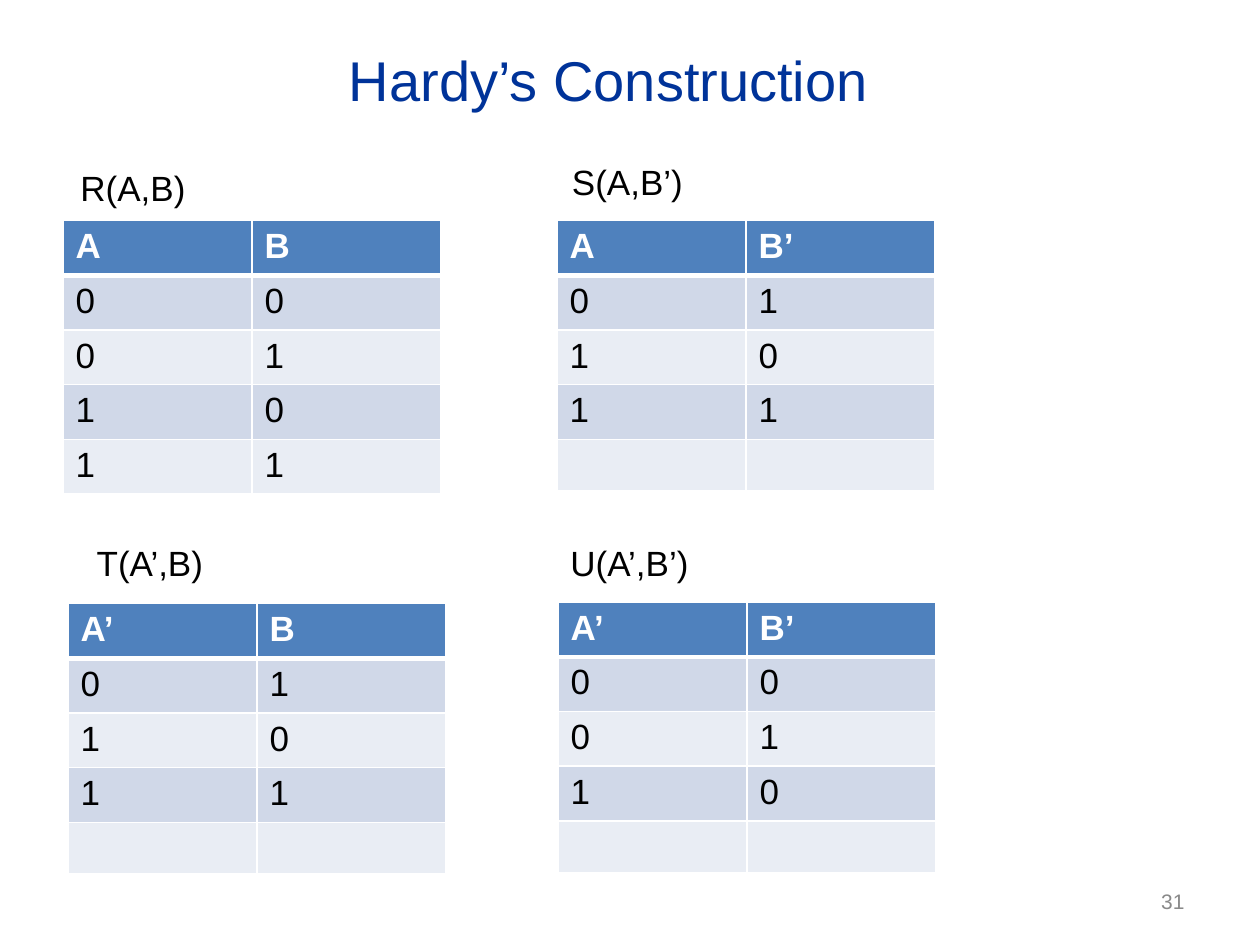
from dataclasses import dataclass

from lxml.etree import SubElement
from pptx import Presentation
from pptx.dml.color import RGBColor
from pptx.enum.text import MSO_ANCHOR, PP_ALIGN
from pptx.oxml.ns import qn
from pptx.util import Cm, Pt


@dataclass(frozen=True)
class Theme:
    font: str = "Arial"
    title: str = "003399"
    text: str = "000000"
    header: str = "4F81BD"
    light: str = "FFFFFF"
    bands: tuple = ("D0D8E8", "E9EDF4")
    muted: str = "898989"
    title_size: int = 32
    body_size: int = 20
    number_size: int = 12


@dataclass(frozen=True)
class Box:
    left: float
    top: float
    width: float
    height: float

    def lengths(self):
        return Cm(self.left), Cm(self.top), Cm(self.width), Cm(self.height)


@dataclass(frozen=True)
class Relation:
    name: str
    columns: tuple
    tuples: tuple
    left: float
    top: float
    label_offset: tuple  # label position relative to the table


THEME = Theme()
TABLE_WIDTH, ROW_HEIGHT, ROW_COUNT = 7.62, 1.04, 5
LABEL_WIDTH, LABEL_HEIGHT = 4.88, 1.12

RELATIONS = (
    Relation("R(A,B)", ("A", "B"), ("00", "01", "10", "11"), 1.27, 4.45, (0.1, -1.22)),
    Relation("S(A,B’)", ("A", "B’"), ("01", "10", "11"), 11.23, 4.45, (0.05, -1.33)),
    Relation("T(A’,B)", ("A’", "B"), ("01", "10", "11"), 1.37, 12.17, (0.33, -1.37)),
    Relation("U(A’,B’)", ("A’", "B’"), ("00", "01", "10"), 11.25, 12.14, (0, -1.35)),
)


def write_run(paragraph, text, size, color, bold=False):
    run = paragraph.add_run()
    run.text = text
    run.font.name = THEME.font
    run.font.size = Pt(size)
    run.font.bold = bold
    run.font.color.rgb = RGBColor.from_string(color)


def add_text(slide, box, text, size, color, align=PP_ALIGN.LEFT, anchor=MSO_ANCHOR.TOP):
    frame = slide.shapes.add_textbox(*box.lengths()).text_frame
    frame.word_wrap = True
    frame.vertical_anchor = anchor
    paragraph = frame.paragraphs[0]
    paragraph.alignment = align
    write_run(paragraph, text, size, color)


def set_borders(cell, top, bottom):
    properties = cell._tc.get_or_add_tcPr()
    widths = {"a:lnL": 1, "a:lnR": 1, "a:lnT": top, "a:lnB": bottom}
    for tag, width in widths.items():
        line = SubElement(properties, qn(tag), w=str(Pt(width)))
        fill = SubElement(line, qn("a:solidFill"))
        SubElement(fill, qn("a:srgbClr"), val=THEME.light)


def style_cell(cell, row_index):
    is_header = row_index == 0
    # Borders precede the fill in the cell properties
    set_borders(cell, 3 if row_index == 1 else 1, 3 if is_header else 1)
    color = THEME.header if is_header else THEME.bands[(row_index - 1) % 2]
    cell.fill.solid()
    cell.fill.fore_color.rgb = RGBColor.from_string(color)


def add_relation_table(slide, box, relation):
    rows = [relation.columns, *relation.tuples]
    column_count = len(relation.columns)
    table = slide.shapes.add_table(ROW_COUNT, column_count, *box.lengths()).table
    for row_index, row in enumerate(table.rows):
        row.height = Cm(box.height / ROW_COUNT)
        values = rows[row_index] if row_index < len(rows) else ()
        for cell in row.cells:
            style_cell(cell, row_index)
        for cell, value in zip(row.cells, values):
            color = THEME.light if row_index == 0 else THEME.text
            write_run(cell.text_frame.paragraphs[0], value, THEME.body_size,
                      color, bold=row_index == 0)


def add_relation(slide, box, relation):
    shift_x, shift_y = relation.label_offset
    label_box = Box(box.left + shift_x, box.top + shift_y, LABEL_WIDTH, LABEL_HEIGHT)
    add_text(slide, label_box, relation.name, THEME.body_size, THEME.text)
    add_relation_table(slide, box, relation)


def add_title(slide, box):
    add_text(slide, box, "Hardy’s Construction", THEME.title_size, THEME.title,
             PP_ALIGN.CENTER, MSO_ANCHOR.MIDDLE)


def add_page_number(slide, box):
    add_text(slide, box, "31", THEME.number_size, THEME.muted,
             PP_ALIGN.RIGHT, MSO_ANCHOR.MIDDLE)


def main():
    presentation = Presentation()
    presentation.slide_width, presentation.slide_height = Cm(25.4), Cm(19.05)
    slide = presentation.slides.add_slide(presentation.slide_layouts[6])

    # Title
    add_title(slide, Box(0.84, 0, 22.86, 3.18))

    # Four labelled relations
    for relation in RELATIONS:
        box = Box(relation.left, relation.top, TABLE_WIDTH, ROW_HEIGHT * ROW_COUNT)
        add_relation(slide, box, relation)

    # Page number
    add_page_number(slide, Box(18.2, 17.65, 5.93, 1.02))

    presentation.save("out.pptx")


if __name__ == "__main__":
    main()
